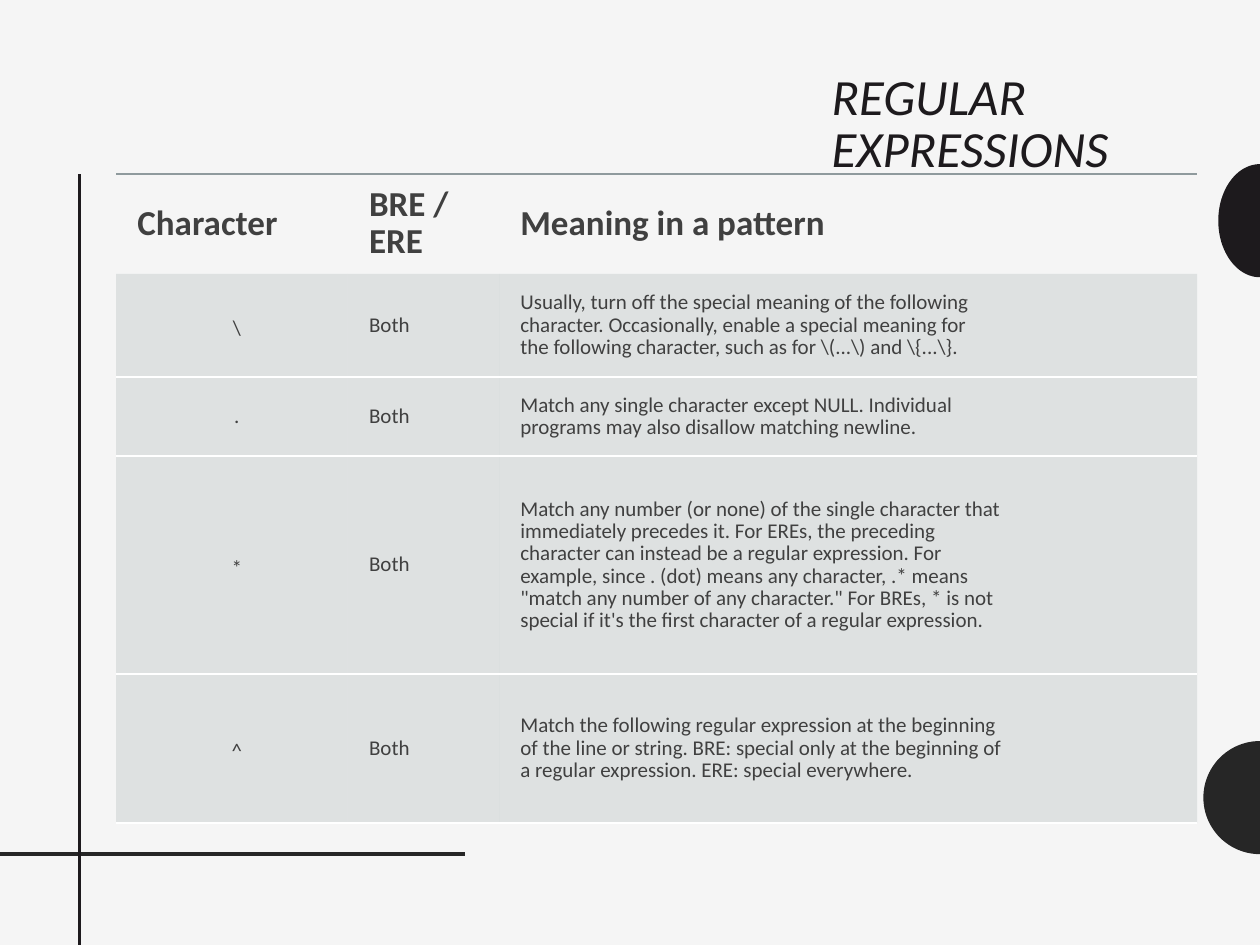
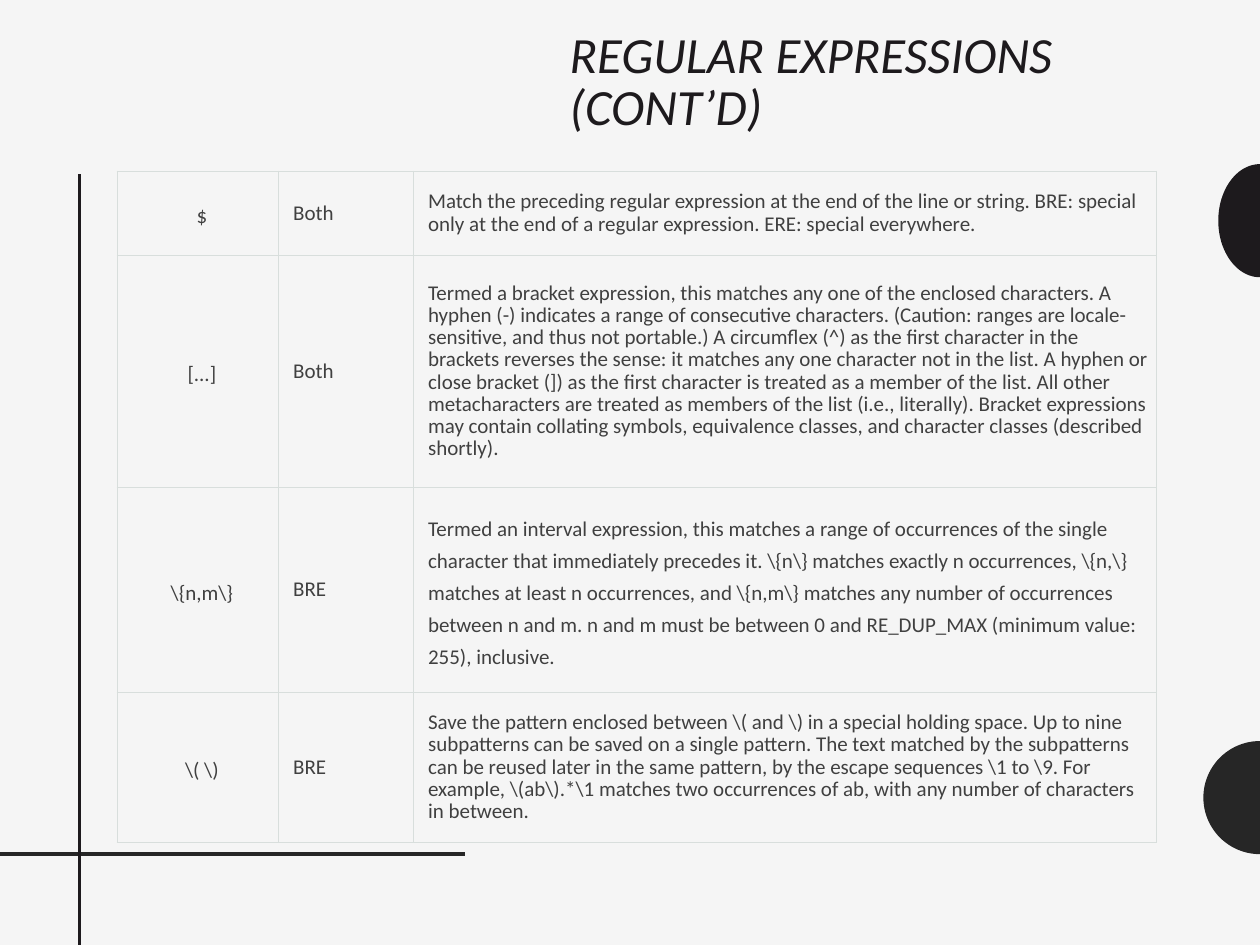
from dataclasses import dataclass
from math import cos, pi, sin

from pptx import Presentation
from pptx.dml.color import RGBColor
from pptx.enum.shapes import MSO_CONNECTOR
from pptx.enum.text import MSO_ANCHOR, MSO_AUTO_SIZE, PP_ALIGN
from pptx.oxml.ns import qn
from pptx.util import Cm, Pt
from lxml import etree

STRAIGHT = MSO_CONNECTOR.STRAIGHT
MIDDLE = MSO_ANCHOR.MIDDLE
LEFT, CENTER = PP_ALIGN.LEFT, PP_ALIGN.CENTER
NO_AUTOFIT = MSO_AUTO_SIZE.NONE

WIDTH, HEIGHT = 25.4, 19.05
PAPER, INK, CHARCOAL, BODY = "F5F5F5", "1D1A1D", "262626", "404040"
WHITE, RULE, CELL, GRID = "FFFFFF", "8F9A9D", "B4BCBE", "D8DEDC"
FONT = "Calibri"
TIGHT, LOOSE = 0.87, 1.25
NO_STYLE = "{2D5ABB26-0587-4C30-8999-92F81FD0307C}"

TITLE_FORMAT = {"name": FONT, "size": Pt(29), "italic": True, "bold": False}
HEAD_FORMAT = {"name": FONT, "size": Pt(20), "bold": True}
BODY_FORMAT = {"name": FONT, "size": Pt(12), "bold": False}


@dataclass
class Entry:
    """One table row; each line of a text is a paragraph."""
    symbol: str
    flavour: str
    meaning: str
    symbol_spacing: float = LOOSE
    meaning_spacing: float = TIGHT


HEADINGS = ("Character", "BRE /\nERE", "Meaning in a pattern")

BASIC_ENTRIES = [
    Entry("\\", "Both",
          "Usually, turn off the special meaning of the following\n"
          "character. Occasionally, enable a special meaning for\n"
          "the following character, such as for \\(...\\) and \\{...\\}."),
    Entry(".", "Both",
          "Match any single character except NULL. Individual\n"
          "programs may also disallow matching newline.",
          symbol_spacing=TIGHT),
    Entry("*", "Both",
          "Match any number (or none) of the single character that\n"
          "immediately precedes it. For EREs, the preceding\n"
          "character can instead be a regular expression. For\n"
          "example, since . (dot) means any character, .* means\n"
          "\"match any number of any character.\" For BREs, * is not\n"
          "special if it's the first character of a regular expression."),
    Entry("^", "Both",
          "Match the following regular expression at the beginning\n"
          "of the line or string. BRE: special only at the beginning of\n"
          "a regular expression. ERE: special everywhere."),
]

FURTHER_ENTRIES = [
    Entry("$", "Both",
          "Match the preceding regular expression at the end of the line or "
          "string. BRE: special only at the end of a regular expression. "
          "ERE: special everywhere."),
    Entry("[...]", "Both",
          "Termed a bracket expression, this matches any one of the enclosed "
          "characters. A hyphen (-) indicates a range of consecutive "
          "characters. (Caution: ranges are locale-sensitive, and thus not "
          "portable.) A circumflex (^) as the first character in the brackets "
          "reverses the sense: it matches any one character not in the list. "
          "A hyphen or close bracket (]) as the first character is treated as "
          "a member of the list. All other metacharacters are treated as "
          "members of the list (i.e., literally). Bracket expressions may "
          "contain collating symbols, equivalence classes, and character "
          "classes (described shortly)."),
    Entry("\\{n,m\\}", "BRE",
          "Termed an interval expression, this matches a range of occurrences "
          "of the single character that immediately precedes it. \\{n\\} "
          "matches exactly n occurrences, \\{n,\\} matches at least n "
          "occurrences, and \\{n,m\\} matches any number of occurrences "
          "between n and m. n and m must be between 0 and RE_DUP_MAX (minimum "
          "value: 255), inclusive.",
          meaning_spacing=LOOSE),
    Entry("\\( \\)", "BRE",
          "Save the pattern enclosed between \\( and \\) in a special holding "
          "space. Up to nine subpatterns can be saved on a single pattern. "
          "The text matched by the subpatterns can be reused later in the "
          "same pattern, by the escape sequences \\1 to \\9. For example, "
          "\\(ab\\).*\\1 matches two occurrences of ab, with any number of "
          "characters in between."),
]


def rgb(color):
    return RGBColor.from_string(color)


def write(tf, text, fmt, color, spacing, align=LEFT):
    for i, line in enumerate(text.split("\n")):
        p = tf.add_paragraph() if i else tf.paragraphs[0]
        p.alignment = align
        p.line_spacing = spacing
        r = p.add_run()
        r.text = line
        for name, value in fmt.items():
            setattr(r.font, name, value)
        r.font.color.rgb = rgb(color)


def add_line(s, x1, y1, x2, y2, color):
    line = s.shapes.add_connector(STRAIGHT, Cm(x1), Cm(y1), Cm(x2), Cm(y2))
    line.line.color.rgb = rgb(color)
    line.line.width = Pt(2)
    etree.SubElement(line._element.spPr, qn("a:effectLst"))


def add_edge_disc(s, middle, rx, ry, color, steps=48):
    """Draw the left half of an ellipse that is cut by the right slide edge."""
    angles = [pi * i / steps for i in range(steps + 1)]
    points = [(Cm(WIDTH - rx * sin(a)), Cm(middle - ry * cos(a))) for a in angles]
    builder = s.shapes.build_freeform(*points[0])
    builder.add_line_segments(points[1:], close=True)
    disc = builder.convert_to_shape()
    disc.shadow.inherit = False
    disc.fill.solid()
    disc.fill.fore_color.rgb = rgb(color)
    disc.line.fill.background()


def add_slide(prs, title, left, top, width):
    s = prs.slides.add_slide(prs.slide_layouts[5])
    s.background.fill.solid()
    s.background.fill.fore_color.rgb = rgb(PAPER)
    add_edge_disc(s, 16.08, 1.14, 1.14, CHARCOAL)
    add_line(s, 0, 17.22, 9.37, 17.22, CHARCOAL)
    add_line(s, 1.6, 3.51, 1.6, HEIGHT, INK)
    add_edge_disc(s, 4.45, 0.84, 1.14, INK)

    sp = s.shapes.title
    sp.left, sp.top, sp.width, sp.height = Cm(left), Cm(top), Cm(width), Cm(2.54)
    tf = sp.text_frame
    tf.word_wrap = True
    tf.auto_size = NO_AUTOFIT
    tf.vertical_anchor = MIDDLE
    write(tf, title, TITLE_FORMAT, INK, 0.85)
    return s


def set_alpha(fill_parent, percent):
    color = next(fill_parent.iter(qn("a:srgbClr")))
    etree.SubElement(color, qn("a:alpha"), val=str(percent * 1000))


def set_borders(cell, borders):
    """Draw borders given as side: (colour, points, opacity)."""
    tcPr = cell._tc.get_or_add_tcPr()
    for side in "LRTB":
        if side in borders:
            color, points, opacity = borders[side]
            ln = etree.SubElement(tcPr, qn("a:ln" + side), w=str(Pt(points)))
            fill = etree.SubElement(ln, qn("a:solidFill"))
            etree.SubElement(fill, qn("a:srgbClr"), val=color)
            set_alpha(ln, opacity)


def set_cell(cell, margins, borders, fill=None):
    sides = ("margin_left", "margin_top", "margin_right", "margin_bottom")
    for side, margin in zip(sides, margins):
        setattr(cell, side, Cm(margin))
    cell.vertical_anchor = MIDDLE
    set_borders(cell, borders)
    if fill:
        cell.fill.solid()
        cell.fill.fore_color.rgb = rgb(fill)
        set_alpha(cell._tc.tcPr.find(qn("a:solidFill")), 35)
    else:
        cell.fill.background()


def add_plain_table(s, left, top, widths, heights):
    frame = s.shapes.add_table(len(heights), len(widths), Cm(left), Cm(top),
                               Cm(sum(widths)), Cm(sum(heights)))
    table = frame.table
    table.first_row = table.horz_banding = False
    table._tbl.tblPr.find(qn("a:tableStyleId")).text = NO_STYLE
    for column, width in zip(table.columns, widths):
        column.width = Cm(width)
    for row, height in zip(table.rows, heights):
        row.height = Cm(height)
    return table


def fill_entries(table, entries, first_row, margins, borders, fill=None):
    for i, e in enumerate(entries, first_row):
        columns = ((e.symbol, e.symbol_spacing, CENTER),
                   (e.flavour, TIGHT, LEFT),
                   (e.meaning, e.meaning_spacing, LEFT))
        for j, (text, spacing, align) in enumerate(columns):
            cell = table.cell(i, j)
            set_cell(cell, margins, borders, fill)
            write(cell.text_frame, text, BODY_FORMAT, BODY, spacing, align)


def add_basic_slide(prs):
    s = add_slide(prs, "REGULAR EXPRESSIONS", 16.51, 1.27, 6.99)
    table = add_plain_table(s, 2.34, 3.51, (4.67, 3.05, 14.07),
                            (2.01, 2.08, 1.6, 4.39, 3))
    for j, heading in enumerate(HEADINGS):
        cell = table.cell(0, j)
        set_cell(cell, (0.43, 0.25, 0.25, 0.25), {"T": (RULE, 1.5, 100)})
        write(cell.text_frame, heading, HEAD_FORMAT, BODY, TIGHT)
    fill_entries(table, BASIC_ENTRIES, 1, (0.43, 0.23, 0.23, 0.23),
                 {"B": (WHITE, 1.5, 100)}, CELL)


def add_further_slide(prs):
    s = add_slide(prs, "REGULAR EXPRESSIONS (CONT’D)", 11.23, 0.43, 11.58)
    table = add_plain_table(s, 2.36, 3.45, (3.25, 2.72, 14.99),
                            (1.7, 4.67, 4.14, 3.02))
    fill_entries(table, FURTHER_ENTRIES, 0, (0.3, 0.15, 0.13, 0.15),
                 dict.fromkeys("LRTB", (GRID, 0.75, 100)))


def main():
    prs = Presentation()
    prs.slide_width, prs.slide_height = Cm(WIDTH), Cm(HEIGHT)
    add_basic_slide(prs)
    add_further_slide(prs)
    prs.save("out.pptx")


if __name__ == "__main__":
    main()
